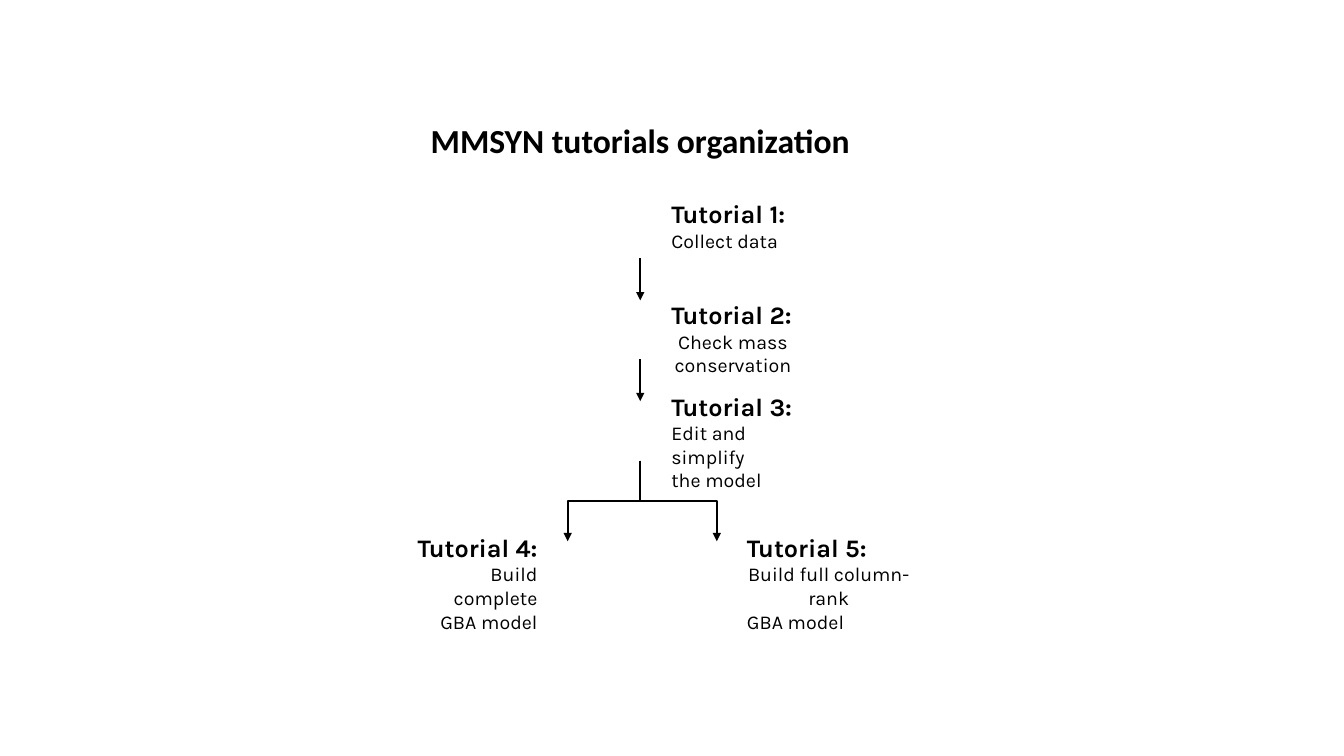
from lxml import etree
from pptx import Presentation
from pptx.dml.color import RGBColor
from pptx.enum.shapes import MSO_CONNECTOR
from pptx.enum.text import MSO_ANCHOR, PP_ALIGN
from pptx.oxml.ns import qn
from pptx.util import Inches, Pt

LEFT, CENTER, RIGHT = PP_ALIGN.LEFT, PP_ALIGN.CENTER, PP_ALIGN.RIGHT
STRAIGHT, ELBOW = MSO_CONNECTOR.STRAIGHT, MSO_CONNECTOR.ELBOW
BLACK = "000000"


def write(p, text, size=14, font="Karla", bold=False, align=LEFT, color=BLACK):
    p.alignment = align
    r = p.add_run()
    r.text = text
    r.font.size = Pt(size)
    r.font.name = font
    r.font.bold = bold
    r.font.color.rgb = RGBColor.from_string(color)


def arrow(kind, x1, y1, x2, y2, color=BLACK):
    c = s.shapes.add_connector(kind, Inches(x1), Inches(y1), Inches(x2), Inches(y2))
    c.line.color.rgb = RGBColor.from_string(color)
    c.line.width = Pt(1.5)
    etree.SubElement(c.line._get_or_add_ln(), qn("a:tailEnd"), type="triangle")
    etree.SubElement(c._element.spPr, qn("a:effectLst"))
    return c


prs = Presentation()
prs.slide_width, prs.slide_height = Inches(13.33), Inches(7.5)
s = prs.slides.add_slide(prs.slide_layouts[5])

# Title
title = s.shapes.title
title.left, title.top = Inches(3.84), Inches(1.14)
title.width, title.height = Inches(5.02), Inches(0.5)
title.text_frame.vertical_anchor = MSO_ANCHOR.MIDDLE
write(title.text_frame.paragraphs[0], "MMSYN tutorials organization",
      size=24, font="Calibri", bold=True, align=CENTER)

# Tutorials: left, top, width, height, heading alignment, (line, alignment)
tutorials = [
    (6.56, 1.92, 1.42, 0.64, LEFT, [("Collect data", LEFT)]),
    (6.56, 2.92, 1.42, 0.88, LEFT, [("Check mass conservation", CENTER)]),
    (6.56, 3.83, 1.42, 1.1, LEFT, [("Edit and simplify", LEFT), ("the model", LEFT)]),
    (4.01, 5.23, 1.42, 1.1, RIGHT, [("Build complete", RIGHT), ("GBA model", RIGHT)]),
    (7.31, 5.23, 1.82, 1.1, LEFT, [("Build full column-rank", CENTER), ("GBA model", LEFT)]),
]
for number, (x, y, w, h, align, lines) in enumerate(tutorials, 1):
    tf = s.shapes.add_textbox(Inches(x), Inches(y), Inches(w), Inches(h)).text_frame
    tf.word_wrap = True
    write(tf.paragraphs[0], f"Tutorial {number}:", size=18, bold=True, align=align)
    for text, line_align in lines:
        write(tf.add_paragraph(), text, align=line_align)

# Arrows down the main sequence
axis = 6.35
for y in (2.56, 3.56):
    arrow(STRAIGHT, axis, y, axis, y + 0.42)

# Branches: elbows turned a quarter so that they leave downwards
middle, half_drop = 4.97, 0.4
for side, target, angle in ((1, 7.11, 270), (-1, 5.63, 90)):
    cx, half_span = (axis + target) / 2, abs(target - axis) / 2
    c = arrow(ELBOW, cx + side * half_drop, middle - half_span,
              cx - side * half_drop, middle + half_span)
    c._element.spPr.find(qn("a:xfrm")).set("rot", str(angle * 60000))

prs.save("out.pptx")
